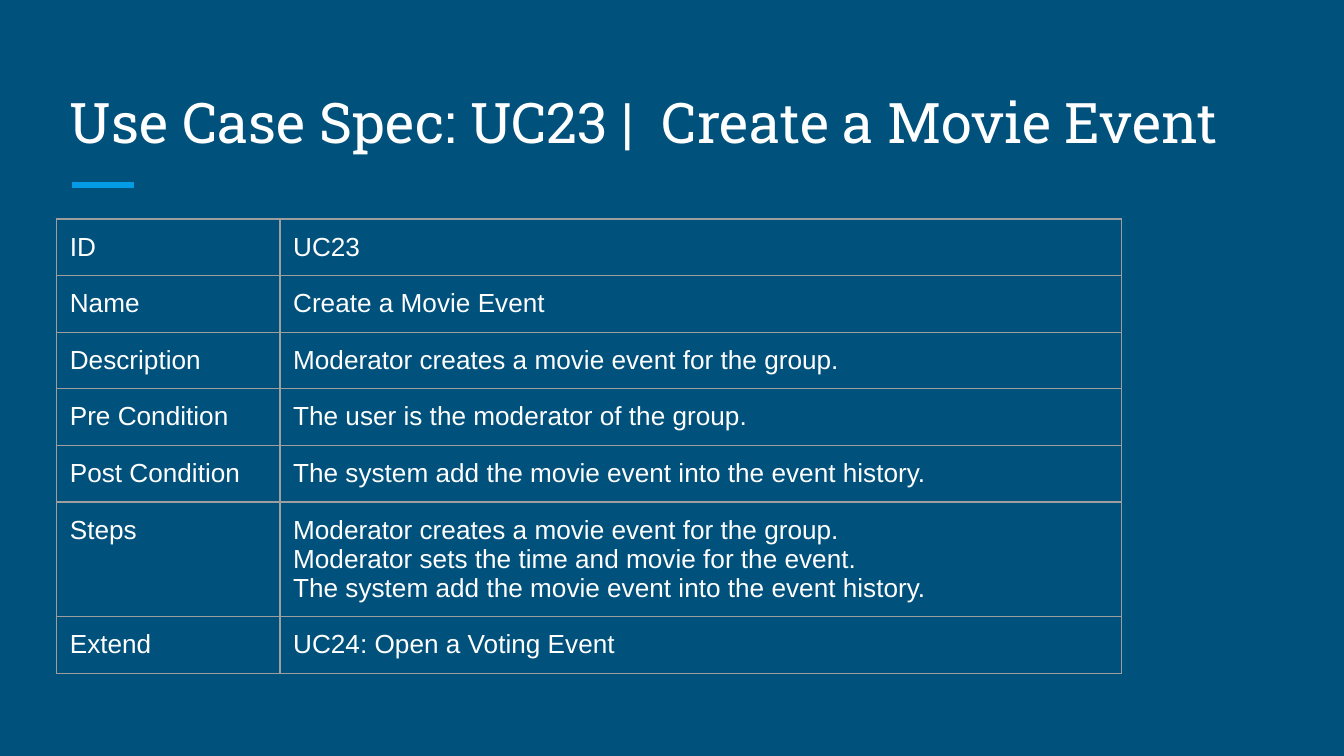
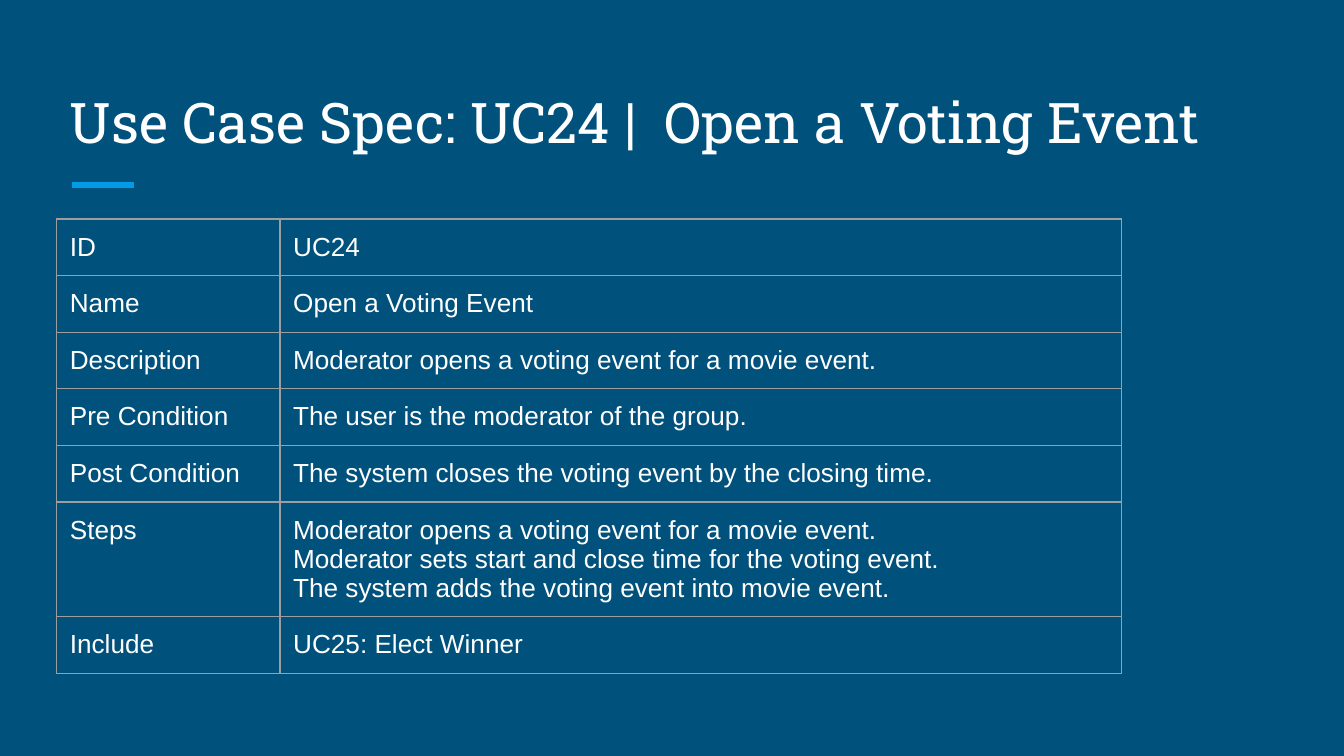
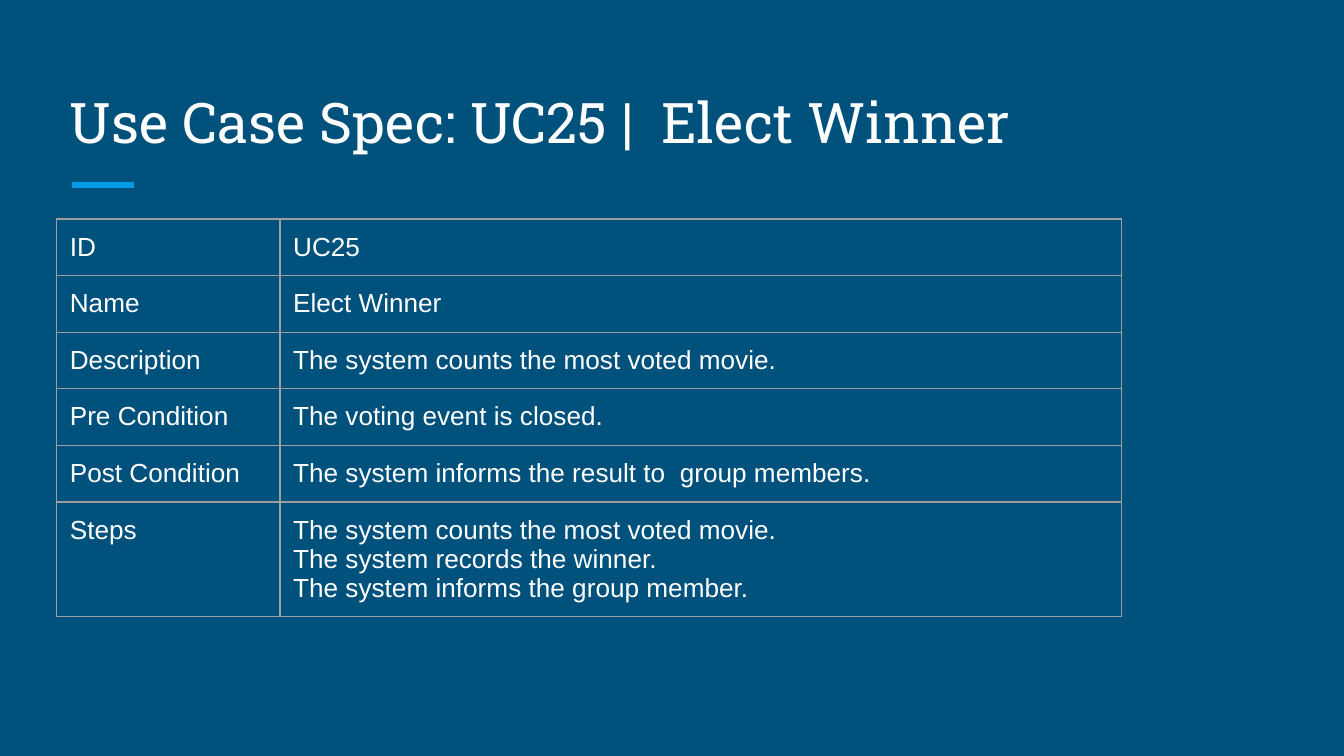
from dataclasses import dataclass

from lxml import etree
from pptx import Presentation
from pptx import util as u
from pptx.dml import color
from pptx.enum import shapes, text
from pptx.oxml import ns


@dataclass(frozen=True)
class Theme:
    background: str = "00517C"
    accent: str = "039BE5"
    ink: str = "FFFFFF"
    grid: str = "9E9E9E"
    title_font: str = "Roboto Slab"
    cell_font: str = "Arial"
    title_size: int = 30
    cell_size: int = 14
    accent_width: float = 3
    grid_width: float = 0.75
    inset: float = 0.25


@dataclass(frozen=True)
class Box:
    """Region of the slide, in centimetres."""
    left: float
    top: float
    width: float
    height: float


THEME = Theme()
HEADING = Box(1.07, 1.27, 23.24, 1.9)
SPEC = Box(1.07, 4.14, 20.12, 7.49)
LABEL_WIDTH = 4.22
ROW_HEIGHT = 1.07

# Each use case: field name and the lines of its value
USE_CASES = [
    [
        ("ID", ["UC23"]),
        ("Name", ["Create a Movie Event"]),
        ("Description", ["Moderator creates a movie event for the group."]),
        ("Pre Condition", ["The user is the moderator of the group."]),
        ("Post Condition", ["The system add the movie event into the event history."]),
        ("Steps", ["Moderator creates a movie event for the group.",
                   "Moderator sets the time and movie for the event.",
                   "The system add the movie event into the event history."]),
        ("Extend", ["UC24: Open a Voting Event"]),
    ],
    [
        ("ID", ["UC24"]),
        ("Name", ["Open a Voting Event"]),
        ("Description", ["Moderator opens a voting event for a movie event."]),
        ("Pre Condition", ["The user is the moderator of the group."]),
        ("Post Condition", ["The system closes the voting event by the closing time."]),
        ("Steps", ["Moderator opens a voting event for a movie event.",
                   "Moderator sets start and close time for the voting event.",
                   "The system adds the voting event into movie event."]),
        ("Include", ["UC25: Elect Winner"]),
    ],
    [
        ("ID", ["UC25"]),
        ("Name", ["Elect Winner"]),
        ("Description", ["The system counts the most voted movie."]),
        ("Pre Condition", ["The voting event is closed."]),
        ("Post Condition", ["The system informs the result to  group members."]),
        ("Steps", ["The system counts the most voted movie.",
                   "The system records the winner.",
                   "The system informs the group member."]),
    ],
]


def rgb(value):
    return color.RGBColor.from_string(value)


def add_text(paragraph, words, font, size):
    paragraph.alignment = text.PP_ALIGN.LEFT
    run = paragraph.add_run()
    run.text = words
    run.font.name = font
    run.font.size = u.Pt(size)
    run.font.color.rgb = rgb(THEME.ink)


def set_insets(holder):
    holder.margin_left = holder.margin_right = u.Cm(THEME.inset)
    holder.margin_top = holder.margin_bottom = u.Cm(THEME.inset)


def add_heading(slide, box, words):
    # Title
    title = slide.shapes.title
    title.left, title.top = u.Cm(box.left), u.Cm(box.top)
    title.width, title.height = u.Cm(box.width), u.Cm(box.height)
    frame = title.text_frame
    frame.word_wrap = True
    frame.auto_size = text.MSO_AUTO_SIZE.NONE
    frame.vertical_anchor = text.MSO_ANCHOR.BOTTOM
    set_insets(frame)
    add_text(frame.paragraphs[0], words, THEME.title_font, THEME.title_size)

    # Accent rule below the title
    start, level = box.left + 0.3, box.top + box.height + 0.33
    rule = slide.shapes.add_connector(
        shapes.MSO_CONNECTOR.STRAIGHT,
        u.Cm(start), u.Cm(level), u.Cm(start + 1.17), u.Cm(level))
    rule.line.color.rgb = rgb(THEME.accent)
    rule.line.width = u.Pt(THEME.accent_width)
    etree.SubElement(rule.element.spPr, ns.qn("a:effectLst"))


def outline_cell(cell):
    properties = cell._tc.get_or_add_tcPr()
    for side in ("lnL", "lnR", "lnT", "lnB"):
        edge = etree.SubElement(properties, ns.qn(f"a:{side}"),
                                w=str(u.Pt(THEME.grid_width)))
        fill = etree.SubElement(edge, ns.qn("a:solidFill"))
        etree.SubElement(fill, ns.qn("a:srgbClr"), val=THEME.grid)


def fill_cell(cell, lines):
    outline_cell(cell)
    cell.fill.background()
    set_insets(cell)
    frame = cell.text_frame
    for index, line in enumerate(lines):
        paragraph = frame.add_paragraph() if index else frame.paragraphs[0]
        add_text(paragraph, line, THEME.cell_font, THEME.cell_size)


def add_spec_table(slide, box, fields):
    spec = slide.shapes.add_table(
        len(fields), 2, u.Cm(box.left), u.Cm(box.top),
        u.Cm(box.width), u.Cm(ROW_HEIGHT * len(fields))).table
    spec.first_row = spec.horz_banding = False
    spec.columns[0].width = u.Cm(LABEL_WIDTH)
    spec.columns[1].width = u.Cm(box.width - LABEL_WIDTH)
    for index, (label, lines) in enumerate(fields):
        spec.rows[index].height = u.Cm(ROW_HEIGHT)
        fill_cell(spec.cell(index, 0), [label])
        fill_cell(spec.cell(index, 1), lines)


def add_use_case(deck, fields):
    slide = deck.slides.add_slide(deck.slide_layouts.get_by_name("Title Only"))
    (_, [case_id]), (_, [name]) = fields[:2]
    add_heading(slide, HEADING, f"Use Case Spec: {case_id} |  {name}")
    add_spec_table(slide, SPEC, fields)


def main():
    deck = Presentation()
    deck.slide_width, deck.slide_height = u.Cm(25.4), u.Cm(14.29)
    # Shared background
    backdrop = deck.slide_master.background.fill
    backdrop.solid()
    backdrop.fore_color.rgb = rgb(THEME.background)
    for fields in USE_CASES:
        add_use_case(deck, fields)
    deck.save("out.pptx")


if __name__ == "__main__":
    main()
